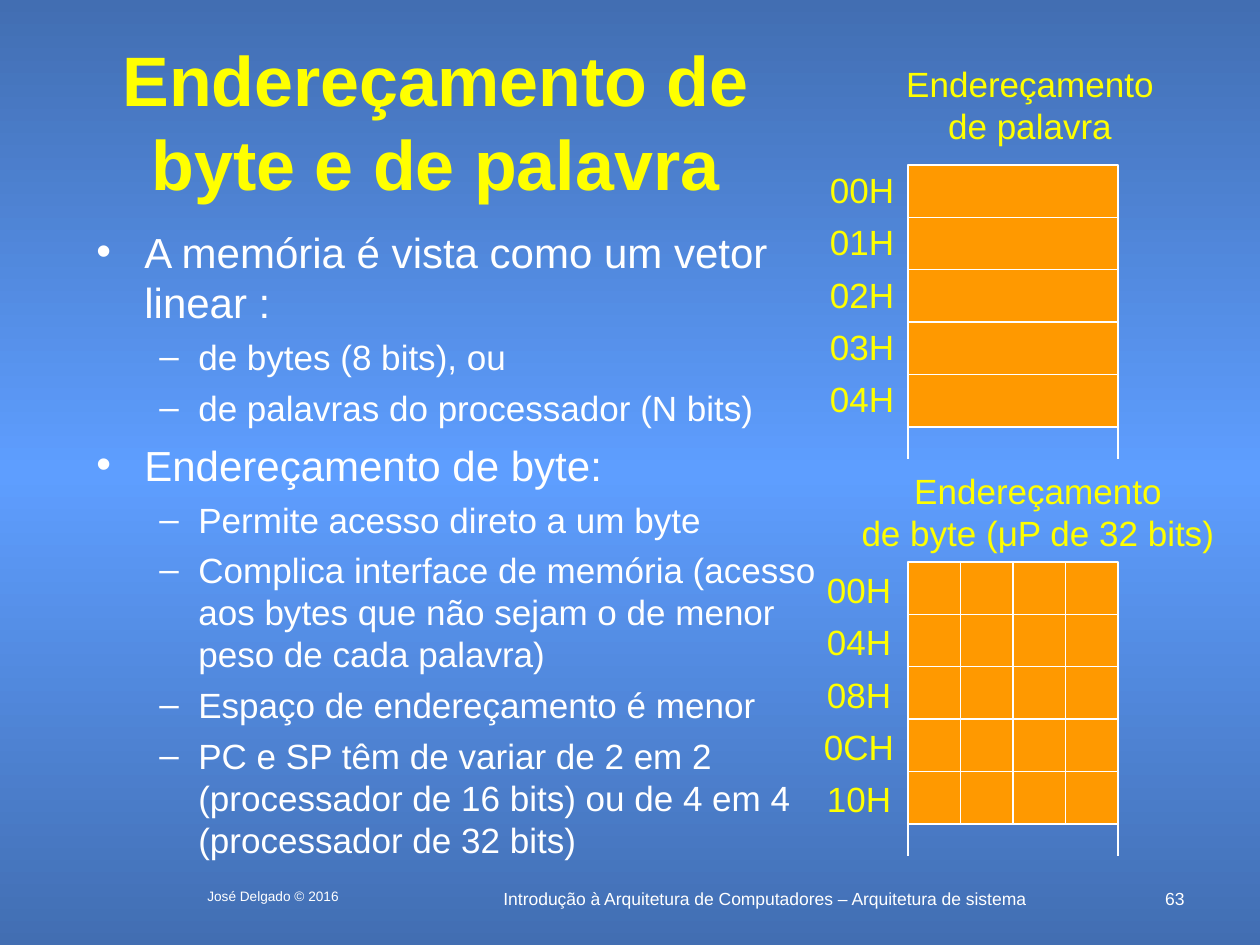
from copy import deepcopy

from lxml import etree
from pptx import Presentation
from pptx import util as u
from pptx.dml.color import RGBColor
from pptx.enum import shapes, text
from pptx.oxml.ns import qn

SCALE = 914400 / 126
HUES = {"edge": "426EB2", "glow": "5E9EFF", "ink": "FFFFFF",
        "head": "FFFF00", "cell": "FF9900"}
ALIGN = text.PP_ALIGN
LEVELS = [
    {"mark": "•", "left": 48, "hang": 48, "size": 24, "gap": 6},
    {"mark": "–", "left": 102, "hang": 39, "size": 20, "gap": 5},
]
POINTS = [
    (0, "A memória é vista como um vetor linear :"),
    (1, "de bytes (8 bits), ou"),
    (1, "de palavras do processador (N bits)"),
    (0, "Endereçamento de byte:"),
    (1, "Permite acesso direto a um byte"),
    (1, "Complica interface de memória (acesso aos bytes que não sejam "
        "o de menor peso de cada palavra)"),
    (1, "Espaço de endereçamento é menor"),
    (1, "PC e SP têm de variar de 2 em 2 (processador de 16 bits) "
        "ou de 4 em 4 (processador de 32 bits)"),
]


def px(n):
    return u.Emu(round(n * SCALE))


def hue(name):
    return RGBColor.from_string(HUES[name])


def style(para, size, tint, **looks):
    for key, val in {"name": "Arial", "size": u.Pt(size), **looks}.items():
        setattr(para.font, key, val)
    para.font.color.rgb = hue(tint)


def place(shape, box):
    for key, val in zip(("left", "top", "width", "height"), box):
        setattr(shape, key, px(val))


def label(slide, box, lines, size, tint, align=ALIGN.CENTER, wrap=False):
    frame = slide.shapes.add_textbox(*map(px, box)).text_frame
    frame.word_wrap = wrap
    for i, line in enumerate(lines):
        para = frame.add_paragraph() if i else frame.paragraphs[0]
        para.text, para.alignment = line, align
        style(para, size, tint)


def paint(slide):
    """Fill the background with a vertical edge-glow-edge gradient."""
    fill = slide.background.fill
    fill.gradient()
    fill.gradient_angle = 90
    first = fill.gradient_stops[0]
    first.color.rgb = hue("edge")
    fill.gradient_stops[1].color.rgb = hue("edge")
    node = slide.background._cSld.find(".//" + qn("a:gs"))
    node.addnext(deepcopy(node))
    mid = fill.gradient_stops[1]
    mid.position = 0.5
    mid.color.rgb = hue("glow")


def title(slide, box, words):
    shape = slide.shapes.title
    place(shape, box)
    frame = shape.text_frame
    for key, val in {"text": words, "word_wrap": True,
                     "auto_size": text.MSO_AUTO_SIZE.NONE,
                     "vertical_anchor": text.MSO_ANCHOR.MIDDLE}.items():
        setattr(frame, key, val)
    para = frame.paragraphs[0]
    para.alignment = ALIGN.CENTER
    style(para, 40, "head", bold=True)


def bullets(slide, box, points):
    frame = slide.shapes.add_textbox(*map(px, box)).text_frame
    frame.word_wrap = True
    for i, (depth, words) in enumerate(points):
        kind = LEVELS[depth]
        para = frame.add_paragraph() if i else frame.paragraphs[0]
        para.text, para.level = words, depth
        props = para._p.get_or_add_pPr()
        props.set("marL", str(px(kind["left"])))
        props.set("indent", str(-px(kind["hang"])))
        etree.SubElement(props, qn("a:buFont"), typeface="Arial")
        etree.SubElement(props, qn("a:buChar"), char=kind["mark"])
        if i:
            para.space_before = u.Pt(kind["gap"])
        style(para, kind["size"], "ink")


def stroke(line):
    line.color.rgb = hue("ink")
    line.width = u.Pt(0.75)


def memory(slide, box, tags, cols, shift):
    """Stack one row per address tag, split in cols, with open sides below."""
    x, y, w, h = box
    step = h / len(tags)
    dx, dy = shift
    group = slide.shapes.add_group_shape()
    for i, tag in enumerate(tags):
        top = y + i * step
        row = group.shapes.add_shape(shapes.MSO_SHAPE.RECTANGLE,
                                     px(x), px(top), px(w), px(step))
        row.shadow.inherit = False
        row.fill.solid()
        row.fill.fore_color.rgb = hue("cell")
        stroke(row.line)
        label(slide, (x + dx, top + dy, 110, 55), [tag], 20, "head")
    for i in range(cols + 1):
        at = px(x + i * w / cols)
        end = y + h + (32 if i in (0, cols) else 0)
        rule = group.shapes.add_connector(shapes.MSO_CONNECTOR.STRAIGHT,
                                          at, px(y), at, px(end))
        stroke(rule.line)
        etree.SubElement(rule._element.spPr, qn("a:effectLst"))


def footer(slide, box):
    x, y, w, h = box
    label(slide, (x, y, 210, h), ["José Delgado © 2016"], 7.8, "ink", wrap=True)
    label(slide, (x + 252, y, 689, h),
          ["Introdução à Arquitetura de Computadores – Arquitetura de sistema"],
          10, "ink", wrap=True)
    label(slide, (x + w - 53, y, 53, h), ["63"], 10, "ink", ALIGN.RIGHT, True)


def main():
    deck = Presentation()
    deck.slide_width, deck.slide_height = px(1260), px(945)
    slide = deck.slides.add_slide(deck.slide_layouts[5])
    paint(slide)
    footer(slide, (168, 882, 1029, 32))
    title(slide, (84, 73, 703, 95), "Endereçamento de byte e de palavra")
    bullets(slide, (84, 220, 746, 646), POINTS)
    label(slide, (849, 463, 378, 97),
          ["Endereçamento", "de byte (μP de 32 bits)"], 20, "head")
    memory(slide, (908, 562, 210, 262),
           ["00H", "04H", "08H", "0CH", "10H"], 4, (-104, 0))
    label(slide, (889, 56, 282, 97), ["Endereçamento ", "de palavra"], 20, "head")
    memory(slide, (908, 165, 210, 262),
           ["00H", "01H", "02H", "03H", "04H"], 1, (-101, -3))
    deck.save("out.pptx")


if __name__ == "__main__":
    main()
